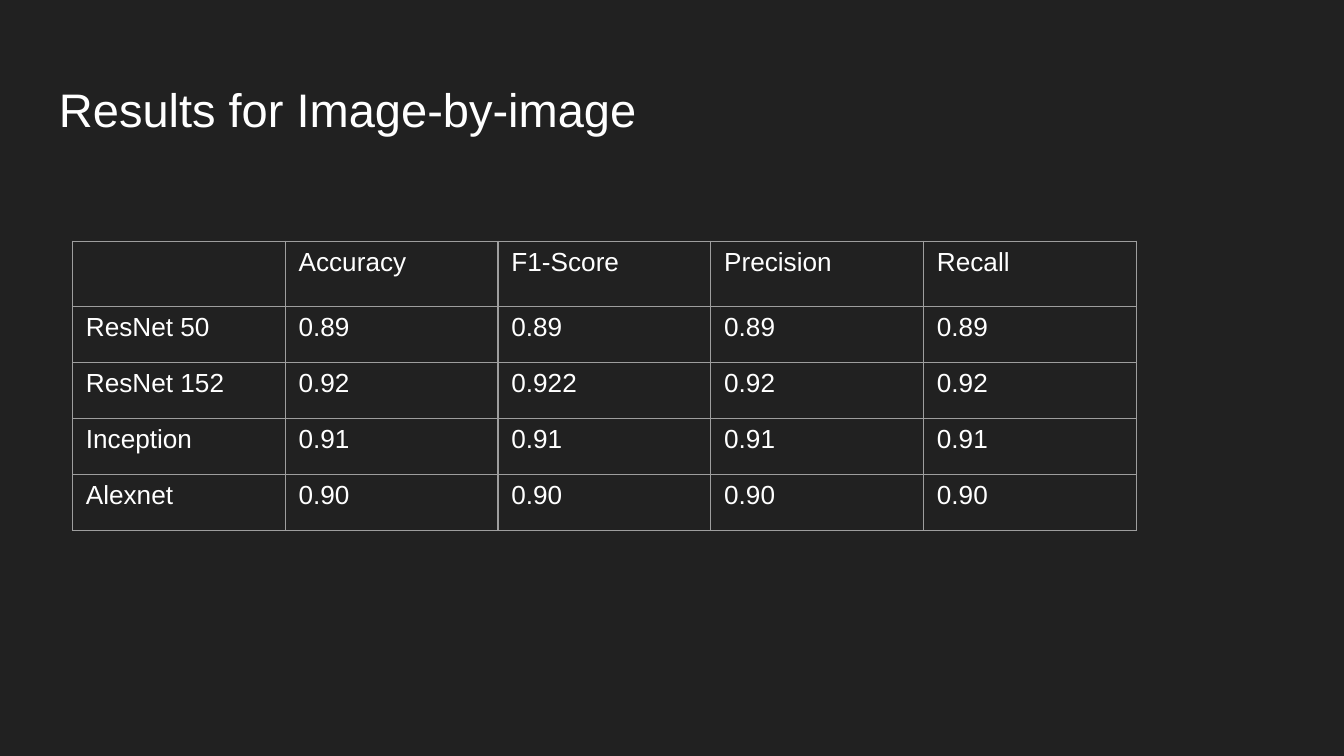
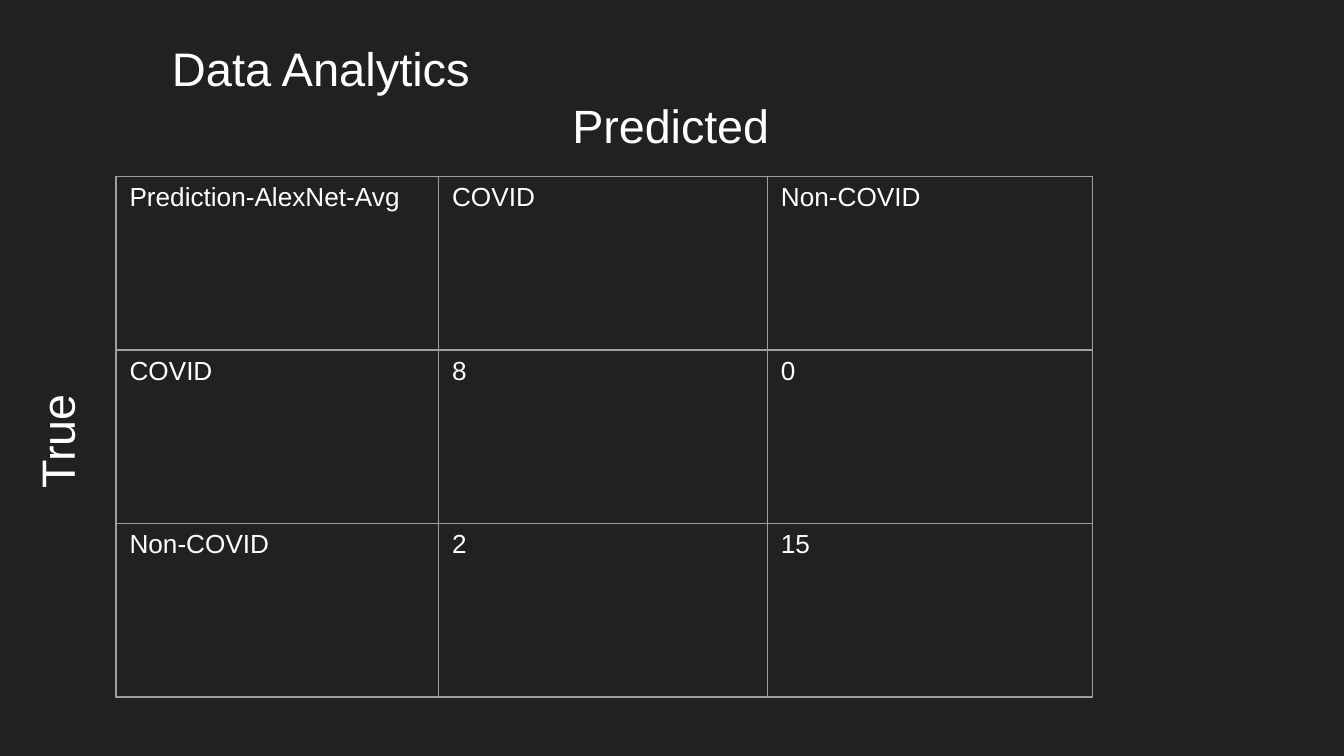
from lxml import etree
from pptx import Presentation
from pptx.dml.color import RGBColor
from pptx.enum import text as txt
from pptx.oxml import ns
from pptx.util import Pt

# Shared style
BACKGROUND = RGBColor(0x21, 0x21, 0x21)
WHITE = RGBColor(0xFF, 0xFF, 0xFF)
GRID = RGBColor(0x9E, 0x9E, 0x9E)
FONT = "Arial"
INSET = Pt(7.2)

RESULTS = [
    ["", "Accuracy", "F1-Score", "Precision", "Recall"],
    ["ResNet 50", "0.89", "0.89", "0.89", "0.89"],
    ["ResNet 152", "0.92", "0.922", "0.92", "0.92"],
    ["Inception", "0.91", "0.91", "0.91", "0.91"],
    ["Alexnet", "0.90", "0.90", "0.90", "0.90"],
]
CONFUSION = [
    ["Prediction-AlexNet-Avg", "COVID", "Non-COVID"],
    ["COVID", "8", "0"],
    ["Non-COVID", "2", "15"],
]


def write(frame, wording, size=14, color=WHITE, indent=0):
    """Fill a text frame with one formatted line."""
    frame.word_wrap = True
    frame.margin_left = INSET + Pt(indent)
    frame.margin_top = frame.margin_right = frame.margin_bottom = INSET
    run = frame.paragraphs[0].add_run()
    run.text = wording
    run.font.name = FONT
    run.font.size = Pt(size)
    run.font.color.rgb = color


def add_label(slide, wording, left, top, width, height,
              size=25, rotation=0, indent=0, anchor=txt.MSO_ANCHOR.TOP):
    box = slide.shapes.add_textbox(Pt(left), Pt(top), Pt(width), Pt(height))
    box.rotation = rotation
    box.text_frame.vertical_anchor = anchor
    write(box.text_frame, wording, size=size, indent=indent)


def add_title(slide, wording, left, top):
    add_label(slide, wording, left, top, 671, 45.4, size=25.2,
              anchor=txt.MSO_ANCHOR.MIDDLE)


def draw_borders(cell):
    """Outline a cell; the lines must come first in its properties."""
    properties = cell._tc.get_or_add_tcPr()
    for position, side in enumerate(("lnL", "lnR", "lnT", "lnB")):
        line = etree.Element(ns.qn(f"a:{side}"), w=str(Pt(0.75)))
        fill = etree.SubElement(line, ns.qn("a:solidFill"))
        etree.SubElement(fill, ns.qn("a:srgbClr"), val=str(GRID))
        properties.insert(position, line)


def add_grid(slide, rows, left, top, widths, heights):
    table = slide.shapes.add_table(
        len(rows), len(widths), Pt(left), Pt(top),
        Pt(sum(widths)), Pt(sum(heights))).table
    table.first_row = table.horz_banding = False
    for column, width in zip(table.columns, widths):
        column.width = Pt(width)
    for row, height, wordings in zip(table.rows, heights, rows):
        row.height = Pt(height)
        for cell, wording in zip(row.cells, wordings):
            cell.fill.background()
            draw_borders(cell)
            write(cell.text_frame, wording)


def add_dark_slide(deck):
    slide = deck.slides.add_slide(deck.slide_layouts[6])
    slide.background.fill.solid()
    slide.background.fill.fore_color.rgb = BACKGROUND
    return slide


def main():
    deck = Presentation()
    deck.slide_width, deck.slide_height = Pt(720), Pt(405)

    # Model scores
    scores = add_dark_slide(deck)
    add_title(scores, "Results for Image-by-image", 24.5, 35.5)
    add_grid(scores, RESULTS, 38.8, 129.3, [114] * 5, [34.8] + [30] * 4)

    # Confusion matrix with its axis labels
    matrix = add_dark_slide(deck)
    add_title(matrix, "Data Analytics", 85, 13.5)
    add_grid(matrix, CONFUSION, 62.2, 94.5, [172.8, 176.2, 174.2], [93] * 3)
    add_label(matrix, "Predicted", 299.5, 44.6, 151.2, 44.6)
    add_label(matrix, "True", -36, 195.1, 132.5, 44.6, rotation=270, indent=14.7)

    deck.save("out.pptx")


if __name__ == "__main__":
    main()
